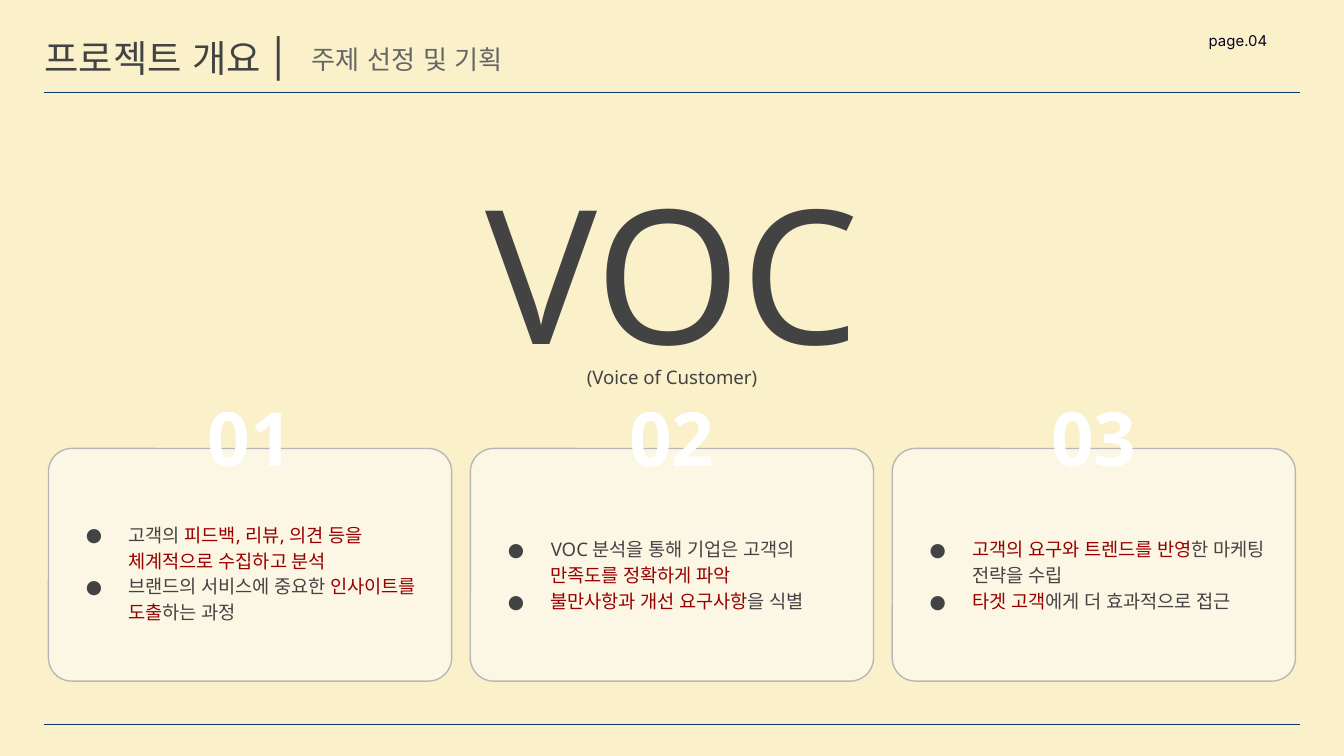
from lxml import etree
from pptx import Presentation
from pptx.dml.color import RGBColor
from pptx.enum.shapes import MSO_CONNECTOR, MSO_SHAPE
from pptx.enum.text import MSO_ANCHOR, MSO_AUTO_SIZE, PP_ALIGN
from pptx.oxml.ns import qn
from pptx.util import Pt

LEFT, CENTER, RIGHT = PP_ALIGN.LEFT, PP_ALIGN.CENTER, PP_ALIGN.RIGHT
TOP, MIDDLE = MSO_ANCHOR.TOP, MSO_ANCHOR.MIDDLE
FIXED, GROW = MSO_AUTO_SIZE.NONE, MSO_AUTO_SIZE.SHAPE_TO_FIT_TEXT
ROUNDED, STRAIGHT = MSO_SHAPE.ROUNDED_RECTANGLE, MSO_CONNECTOR.STRAIGHT
HEAD_FONT, BODY_FONT = "Inter", "Noto Sans"
CREAM, NAVY, DARK, GRAY = "FAF0CA", "0D3B66", "434343", "666666"
INK, RED, WHITE, BORDER = "05041D", "980000", "FFFFFF", "B7B7B7"
CARD_LEFT, CARD_TOP, CARD_W, CARD_H, CARD_PITCH = 26, 240.3, 216, 124.6, 226
NUMBER_W = 76

CARDS = [
    ("01", 260.6, 91.5, False, [
        [("고객의 ", DARK), ("피드백, 리뷰, 의견 등을 체계적으로 수집하고 분석", RED)],
        [("브랜드의 서비스에 중요한 ", DARK), ("인사이트를 도출", RED), ("하는 과정", DARK)],
    ]),
    ("02", 279.4, 54.7, True, [
        [("VOC 분석을 통해 기업은 고객의 ", DARK), ("만족도를 정확하게 파악", RED)],
        [("불만사항과 개선 요구사항", RED), ("을 식별", DARK)],
    ]),
    ("03", 279.4, 54.7, True, [
        [("고객의 요구와 트렌드를 반영", RED), ("한 마케팅 전략을 수립", DARK)],
        [("타겟 고객", RED), ("에게 더 효과적으로 접근", DARK)],
    ]),
]


def rgb(value):
    """Turn a hex string into a colour."""
    return RGBColor.from_string(value)


class Deck:
    """Hold the presentation, its current slide and the element styles."""

    def __init__(self, width, height):
        """Start a presentation with one title-only slide."""
        self.prs = Presentation()
        self.prs.slide_width, self.prs.slide_height = Pt(width), Pt(height)
        self.slide = self.prs.slides.add_slide(self.prs.slide_layouts[5])
        fill = self.slide.background.fill
        fill.solid()
        fill.fore_color.rgb = rgb(CREAM)

    def fill_text(self, sp, paragraphs, size, font, align=LEFT, anchor=MIDDLE,
                  spacing=0.8, inset=0, grow=False, bold=False, bullets=False):
        """Fill a shape with paragraphs given as lists of (text, colour) runs."""
        tf = sp.text_frame
        tf.word_wrap = True
        tf.auto_size = GROW if grow else FIXED
        tf.vertical_anchor = anchor
        tf.margin_left = tf.margin_right = tf.margin_top = tf.margin_bottom = Pt(inset)
        for i, runs in enumerate(paragraphs):
            p = tf.add_paragraph() if i else tf.paragraphs[0]
            p.alignment, p.line_spacing = align, spacing
            p.space_before = p.space_after = Pt(0)
            if bullets:
                self.bullet(p)
            for text, color in runs:
                r = p.add_run()
                r.text = text
                r.font.size, r.font.name, r.font.bold = Pt(size), font, bold
                r.font.color.rgb = rgb(color)
                ea = etree.Element(qn("a:ea"), typeface=font)
                r.font._element.find(qn("a:latin")).addnext(ea)

    def bullet(self, p):
        """Give a paragraph a hanging round bullet."""
        pPr = p._p.get_or_add_pPr()
        pPr.set("marL", str(Pt(36)))
        pPr.set("indent", str(-Pt(23)))
        color = etree.SubElement(pPr, qn("a:buClr"))
        etree.SubElement(color, qn("a:srgbClr"), val=DARK)
        etree.SubElement(pPr, qn("a:buFont"), typeface=BODY_FONT)
        etree.SubElement(pPr, qn("a:buChar"), char="●")

    def title(self, text, x, y, w, h, size):
        """Place and format the slide title."""
        sp = self.slide.shapes.title
        sp.left, sp.top, sp.width, sp.height = Pt(x), Pt(y), Pt(w), Pt(h)
        self.fill_text(sp, [[(text, DARK)]], size, HEAD_FONT)

    def text(self, x, y, w, h, paragraphs, size, font, **style):
        """Add a text box."""
        sp = self.slide.shapes.add_textbox(Pt(x), Pt(y), Pt(w), Pt(h))
        self.fill_text(sp, paragraphs, size, font, **style)

    def card(self, x, y, w, h):
        """Add a half-transparent rounded card."""
        sp = self.slide.shapes.add_shape(ROUNDED, Pt(x), Pt(y), Pt(w), Pt(h))
        sp.shadow.inherit = False
        sp.adjustments[0] = 0.1
        sp.fill.solid()
        sp.fill.fore_color.rgb = rgb(WHITE)
        color = sp._element.spPr.find(qn("a:solidFill"))[0]
        etree.SubElement(color, qn("a:alpha"), val="50000")
        sp.line.color.rgb = rgb(BORDER)
        sp.line.width = Pt(0.75)

    def rule(self, x1, x2, y):
        """Add a horizontal rule."""
        sp = self.slide.shapes.add_connector(STRAIGHT, Pt(x1), Pt(y), Pt(x2), Pt(y))
        sp.line.color.rgb = rgb(NAVY)
        sp.line.width = Pt(0.75)
        etree.SubElement(sp._element.spPr, qn("a:effectLst"))


def main():
    """Build the project overview slide."""
    deck = Deck(720, 405)
    deck.title("프로젝트 개요 |", 23.6, 16.6, 141, 33, 20)
    deck.text(167, 16.6, 260, 33, [[("주제 선정 및 기획", GRAY)]], 14, HEAD_FONT)
    deck.text(601, 13, 78, 9.4, [[("page.04", INK)]], 8, HEAD_FONT,
              align=RIGHT, anchor=TOP, spacing=1.4, grow=True)
    for y in (49.7, 388):
        deck.rule(23.6, 696.4, y)

    deck.text(200, 108, 320, 95, [[("VOC", DARK)]], 100, BODY_FONT, align=CENTER)
    deck.text(242, 187.2, 236, 26.6, [[("(Voice of Customer)", DARK)]], 10, BODY_FONT,
              align=CENTER, anchor=TOP, spacing=1.15, inset=7.2, grow=True)

    for i, (number, top, height, grow, points) in enumerate(CARDS):
        x = CARD_LEFT + i * CARD_PITCH
        deck.card(x, CARD_TOP, CARD_W, CARD_H)
        deck.text(x, top, CARD_W, height, points, 10, BODY_FONT, spacing=1.15, inset=7.2,
                  anchor=TOP if grow else MIDDLE, grow=grow, bullets=True)
        deck.text(x + (CARD_W - NUMBER_W) / 2, 208.8, NUMBER_W, 59, [[(number, WHITE)]],
                  40, BODY_FONT, align=CENTER, bold=True)
    deck.prs.save("out.pptx")


if __name__ == "__main__":
    main()
